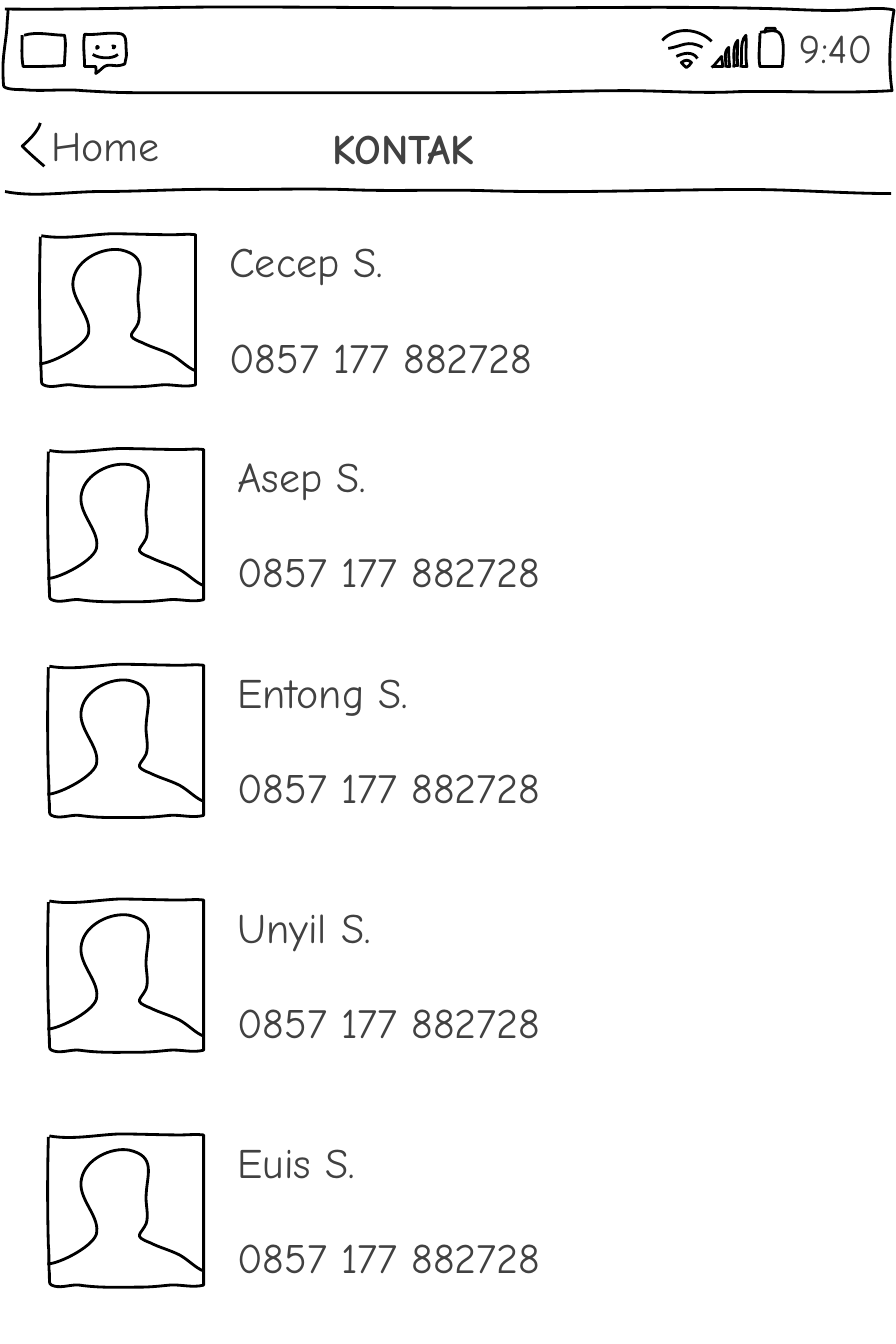
from lxml import etree
from pptx import Presentation
from pptx import util as u
from pptx.dml.color import RGBColor
from pptx.enum import text
from pptx.oxml.ns import qn

COLORS = {"ink": "000000", "paper": "FFFFFF", "label": "414141"}
GRID = 0.72
LABEL_HEIGHT = 39
PHONE_DROP = 68
LABEL_INDENT = 132.8
PHONE = "0857 177 882728"

FRAME = {
    "margin_left": u.Pt(2.88), "margin_top": u.Pt(2.88),
    "margin_right": u.Pt(2.88), "margin_bottom": u.Pt(2.88),
    "word_wrap": True, "auto_size": text.MSO_AUTO_SIZE.NONE,
    "vertical_anchor": text.MSO_ANCHOR.MIDDLE,
}

STATUS_BAR = """5 9  79 10 153 7 227 7  315 7 403 8 490 8  586 8 682 6 778 9
    801 10 821 11 844 10  858 9 874 7 887 10  883 34 881 64 885 90
    834 93 783 90 732 91  695 93 657 90 620 90  576 90 532 92 488 92
    370 92 252 92 133 92  116 92 99 91 82 90  63 88 43 91 23 89
    19 89 7 89 4 86  3 85 3 69 3 67  3 54 6 40 7 27  7 21 8 15 8 10"""
MAIL = "24 35  37 31 51 35 64 35  66 44 64 55 64 65  51 66 36 66 23 66  21 56 22 45 22 35"
CHAT = [
    """84 34  93 35 102 33 110 33  122 33 125 33 125 45  125 49 126 55 125 58
    123 65 126 63 119 65  115 66 110 64 106 65  102 66 100 70 95 73
    96 71 95 69 95 66  91 66 88 66 84 66  84 56 82 44 84 34""",
    "97 46  97 46 95 46 96 48  99 48 97 46 97 46",
    "112 47  112 47 113 49 114 46  112 45 112 46 111 46",
    "92 54  98 58 111 59 117 54",
]
WIFI = [
    "676 62  677 64 680 66 681 67  683 66 685 64 686 62  683 59 680 59 676 62",
    "671 56  677 53 687 50 692 58",
    "663 48  677 46 682 39 697 47",
    "657 40  670 26 693 28 706 41",
]
SIGNAL = [
    "720 67  721 61 717 52 723 47  723 53 723 60 724 66  722 66 722 66 721 66",
    "728 67  729 59 726 46 732 40  732 48 731 57 732 65  731 65 730 65 728 65",
    "735 67  737 58 733 42 740 35  741 45 739 56 741 66  739 66 737 66 736 66",
    "706 67  710 64 712 60 716 56  716 59 717 63 717 66  714 66 710 66 707 66",
]
BATTERY = [
    """754 32  764 31 773 27 776 38  778 45 777 58 776 66
    768 66 760 66 754 66  752 56 754 44 754 33""",
    "758 33  758 32 760 30 760 28  762 28 767 28 769 28  769 30 769 31 769 32",
]
HEADER_RULE = """5 190  34 196 69 190 100 190  142 190 184 187 226 188
    265 188 304 187 342 188  386 190 430 188 475 189
    564 192 654 188 742 188  790 188 837 192 884 192"""
BACK_ARROW = "40 122  38 130 29 139 22 145  29 152 37 159 44 165"
AVATAR = [
    """2 2  25 6 48 1 71 0  91 0 112 1 132 1  140 1 148 0 155 1
    155 50 155 100 155 150  144 153 132 149 121 150  111 151 102 152 92 152
    72 152 52 153 32 150  24 149 15 153 7 151  2 149 2 151 2 138
    1 130 2 119 1 111  0 76 0 37 1 3""",
    """0 129  12 129 49 110 49 97  51 80 29 63 34 44  38 25 63 13 81 16
    108 22 99 40 98 60  97 69 101 80 98 89  93 100 84 101 102 108
    112 113 121 115 131 120  140 125 147 133 155 136""",
]
CONTACTS = [
    ("Cecep S.", 28.08, 167),
    ("Asep S.", 33.84, 320.4),
    ("Entong S.", 33.84, 474.5),
    ("Unyil S.", 33.84, 642.2),
    ("Euis S.", 33.84, 810),
]


def apply(target, values):
    for name, value in values.items():
        setattr(target, name, value)


def color(name):
    return RGBColor.from_string(COLORS[name])


def bend(stroke):
    course = next(stroke._element.iter(qn("a:path")))
    legs = course.findall(qn("a:lnTo"))
    for i in range(0, len(legs), 3):
        curve = etree.SubElement(course, qn("a:cubicBezTo"))
        for leg in legs[i:i + 3]:
            curve.append(leg[0])
            course.remove(leg)


def sketch(slide, outline, left=0, top=0, filled=True):
    numbers = [int(n) for n in outline.split()]
    knots = [
        (u.Pt(left) + x * u.Pt(GRID), u.Pt(top) + y * u.Pt(GRID))
        for x, y in zip(numbers[::2], numbers[1::2])
    ]
    builder = slide.shapes.build_freeform(*knots[0])
    builder.add_line_segments(knots[1:], close=False)
    stroke = builder.convert_to_shape()
    bend(stroke)
    stroke.shadow.inherit = False
    if filled:
        stroke.fill.solid()
        stroke.fill.fore_color.rgb = color("paper")
    else:
        stroke.fill.background()
    stroke.line.color.rgb = color("ink")
    stroke.line.width = u.Pt(2)


def write(holder, words, size=30, bold=False, align=text.PP_ALIGN.LEFT):
    apply(holder.text_frame, FRAME)
    line = holder.text_frame.paragraphs[0]
    line.alignment = align
    run = line.add_run()
    run.text = words
    apply(run.font, {"name": "Comic Neue", "size": u.Pt(size), "bold": bold})
    run.font.color.rgb = color("label")


def label(slide, words, left, top, width=303, height=LABEL_HEIGHT, **style):
    box = [u.Pt(n) for n in (left, top, width, height)]
    write(slide.shapes.add_textbox(*box), words, **style)


def screen_title(slide, words):
    heading = slide.shapes.title
    apply(heading, {"left": u.Pt(234.7), "top": u.Pt(85.7),
                    "width": u.Pt(303), "height": u.Pt(LABEL_HEIGHT)})
    write(heading, words, bold=True)


def status_bar(slide):
    for outline in [STATUS_BAR, MAIL, *CHAT, *WIFI, *SIGNAL]:
        sketch(slide, outline)
    for outline in BATTERY:
        sketch(slide, outline, filled=False)
    label(slide, "9:40", 561.6, 9.4, 70.6, 48.2, size=29, align=text.PP_ALIGN.CENTER)


def header(slide):
    sketch(slide, HEADER_RULE)
    sketch(slide, BACK_ARROW)
    label(slide, "Home", 33.8, 84.2, 265)
    screen_title(slide, "KONTAK")


def contact(slide, name, left, top):
    for outline in AVATAR:
        sketch(slide, outline, left, top)
    label(slide, name, left + LABEL_INDENT, top)
    label(slide, PHONE, left + LABEL_INDENT, top + PHONE_DROP)


def main():
    deck = Presentation()
    apply(deck, {"slide_width": u.Pt(640), "slide_height": u.Pt(960)})
    slide = deck.slides.add_slide(deck.slide_layouts[5])
    status_bar(slide)
    header(slide)
    for name, left, top in CONTACTS:
        contact(slide, name, left, top)
    deck.save("out.pptx")


if __name__ == "__main__":
    main()
